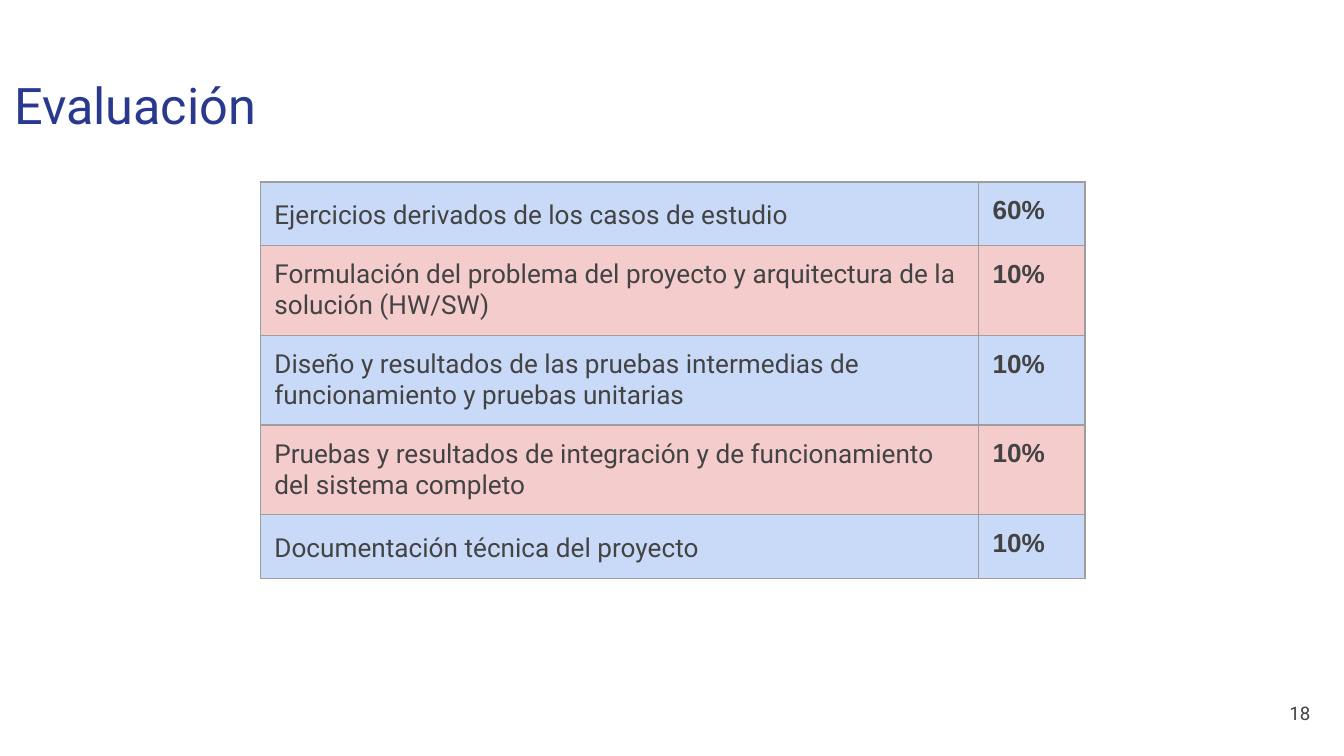
from lxml.etree import SubElement
from pptx import Presentation
from pptx.dml.color import RGBColor
from pptx.enum.text import MSO_ANCHOR as Anchor, MSO_AUTO_SIZE as AutoSize, PP_ALIGN as Align
from pptx.oxml.ns import qn
from pptx.util import Emu, Pt

PX = 9525
INSET = 10
INK, NAVY, BORDER = "434343", "2A3990", "9E9E9E"
ROW_FILLS = ("C9DAF8", "F4CCCC")
ONE_LINE, TWO_LINES = 45, 63
COLUMN_WIDTHS = (513, 76)
CRITERIA = [
    ("Ejercicios derivados de los casos de estudio", "60%", ONE_LINE),
    ("Formulación del problema del proyecto y arquitectura de la solución (HW/SW)", "10%", TWO_LINES),
    ("Diseño y resultados de las pruebas intermedias de funcionamiento y pruebas unitarias", "10%", TWO_LINES),
    ("Pruebas y resultados de integración y de funcionamiento del sistema completo", "10%", TWO_LINES),
    ("Documentación técnica del proyecto", "10%", ONE_LINE),
]


def px(length):
    return Emu(length * PX)


def color(value):
    return RGBColor.from_string(value)


def set_insets(target):
    """Give a text frame or a table cell the same margin on every side."""
    target.margin_left = target.margin_right = px(INSET)
    target.margin_top = target.margin_bottom = px(INSET)


def write(frame, text, size, ink=INK, font="Roboto", bold=False, align=Align.LEFT):
    frame.text = text
    paragraph = frame.paragraphs[0]
    paragraph.alignment = align
    style = paragraph.runs[0].font
    style.name, style.size, style.bold = font, Pt(size), bold
    style.color.rgb = color(ink)
    return paragraph


def fill_frame(shape, anchor, text, size, **style):
    frame = shape.text_frame
    frame.word_wrap = True
    frame.auto_size = AutoSize.NONE
    frame.vertical_anchor = anchor
    set_insets(frame)
    write(frame, text, size, **style)


def add_title(slide, text):
    title = slide.shapes.title
    title.left, title.top, title.width, title.height = map(px, (0, 43, 895, 63))
    fill_frame(title, Anchor.TOP, text, 27, ink=NAVY)


def add_page_number(slide, number):
    box = slide.shapes.add_textbox(*map(px, (888, 489, 58, 41)))
    fill_frame(box, Anchor.MIDDLE, number, 10, align=Align.RIGHT)


def draw_borders(cell):
    properties = cell._tc.get_or_add_tcPr()
    for side in ("lnL", "lnR", "lnT", "lnB"):
        line = SubElement(properties, qn(f"a:{side}"), w=str(Pt(0.75)))
        fill = SubElement(line, qn("a:solidFill"))
        SubElement(fill, qn("a:srgbClr"), val=BORDER)


def format_cell(cell, fill):
    set_insets(cell)
    draw_borders(cell)
    cell.fill.solid()
    cell.fill.fore_color.rgb = color(fill)


def add_criteria_table(slide):
    heights = [height for _, _, height in CRITERIA]
    table = slide.shapes.add_table(
        len(CRITERIA), len(COLUMN_WIDTHS),
        px(186), px(130), px(sum(COLUMN_WIDTHS)), px(sum(heights)),
    ).table
    table.first_row = table.horz_banding = False
    for column, width in zip(table.columns, COLUMN_WIDTHS):
        column.width = px(width)
    for index, (criterion, weight, height) in enumerate(CRITERIA):
        table.rows[index].height = px(height)
        criterion_cell, weight_cell = table.rows[index].cells
        for cell in (criterion_cell, weight_cell):
            format_cell(cell, ROW_FILLS[index % 2])
        paragraph = write(criterion_cell.text_frame, criterion, 14)
        if height == ONE_LINE:
            paragraph.line_spacing = 1.15
            paragraph.space_after = Pt(12)
        write(weight_cell.text_frame, weight, 14, font="Arial", bold=True)


def main():
    deck = Presentation()
    deck.slide_width, deck.slide_height = px(960), px(540)
    slide = deck.slides.add_slide(deck.slide_layouts[5])
    add_page_number(slide, "18")
    add_title(slide, "Evaluación")
    add_criteria_table(slide)
    deck.save("out.pptx")


if __name__ == "__main__":
    main()
